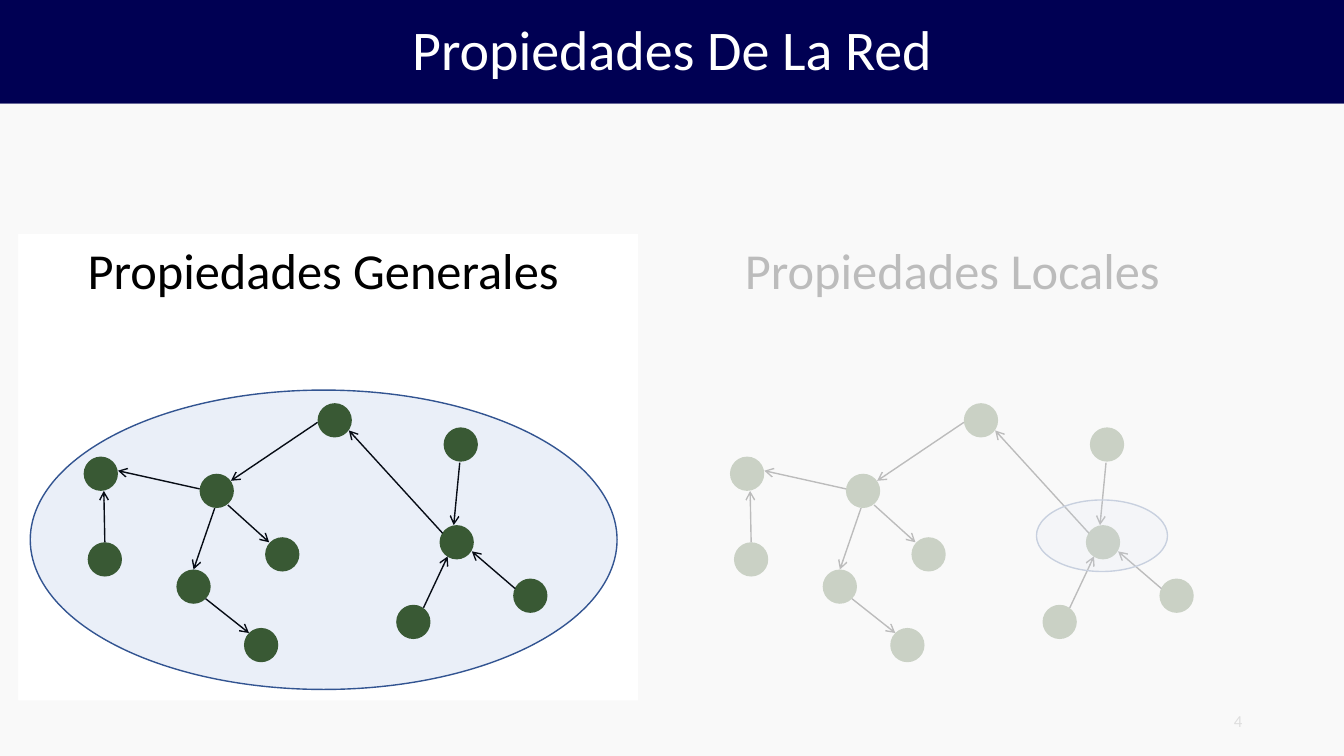
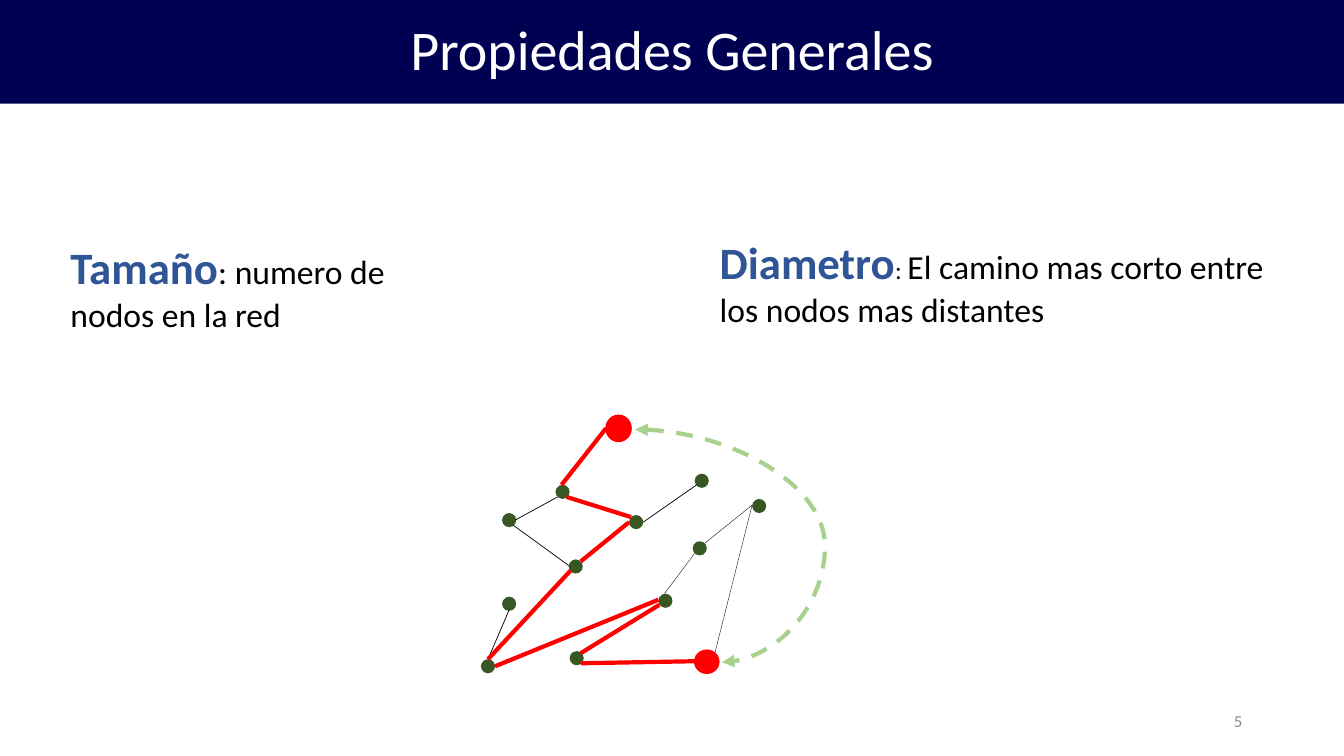
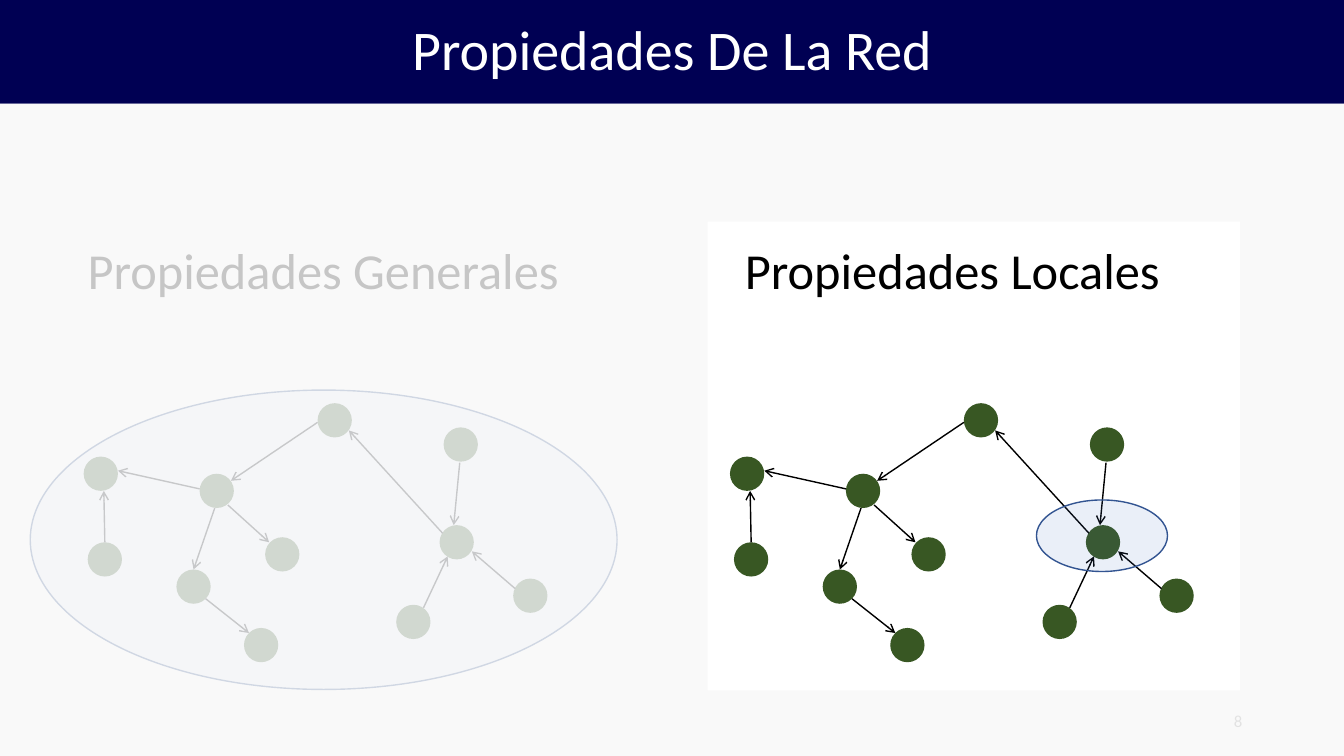
"""Builds three slides on the general and local properties of a network."""
from lxml import etree
from pptx import Presentation
from pptx.dml.color import RGBColor
from pptx.enum.dml import MSO_LINE
from pptx.enum.shapes import MSO_CONNECTOR as LINK, MSO_SHAPE as SHAPE
from pptx.enum.text import MSO_ANCHOR as ANCHOR, MSO_AUTO_SIZE as AUTO, PP_ALIGN as ALIGN
from pptx.oxml.ns import qn
from pptx.util import Pt

PX = 9144
WIDTH, HEIGHT, BAND = 1333, 750, 103
FONT = "Calibri"
NAVY = RGBColor(0x00, 0x00, 0x53)
WHITE = RGBColor(0xFF, 0xFF, 0xFF)
BLACK = RGBColor(0x00, 0x00, 0x00)
GRAY = RGBColor(0x8C, 0x8C, 0x8C)
VEIL = RGBColor(0xF8, 0xF8, 0xF8)
GREEN = RGBColor(0x38, 0x57, 0x23)
LIGHT_GREEN = RGBColor(0xA9, 0xD1, 0x8E)
RED = RGBColor(0xFF, 0x00, 0x00)
BLUE = RGBColor(0x44, 0x72, 0xC4)
EDGE_BLUE = RGBColor(0x32, 0x54, 0x91)
TERM_BLUE = RGBColor(0x2F, 0x55, 0x97)

NETWORK_TITLE = "Propiedades De La Red"
PANELS = [("Propiedades Generales", (77, 232, 492, 71), 0),
          ("Propiedades Locales", (729, 232, 436, 71), 641)]
NODE = 34
NODES = [(175, 565), (242, 623), (393, 600), (436, 521), (198, 470), (83, 453),
         (87, 538), (263, 533), (315, 400), (440, 424), (509, 574)]
ARROWS = [(198, 485, 117, 467), (104, 538, 103, 487), (213, 504, 192, 565),
          (226, 501, 267, 538), (315, 419, 229, 477), (204, 594, 247, 628),
          (439, 529, 346, 427), (420, 603, 444, 552), (456, 459, 450, 521),
          (511, 584, 468, 547)]
FOCUS_OVALS = [(30, 387, 582, 297), (1028, 496, 130, 71)]
GENERAL_WINDOW = (18, 232, 633, 695)
LOCAL_WINDOW = (702, 220, 1230, 685)

DEFINITIONS = [
    ((60, 233, 418, 104), [("Tamaño", 32, TERM_BLUE, True),
                           (": numero de nodos en la red", 24, BLACK, False)]),
    ((704, 228, 570, 104), [("Diametro", 32, TERM_BLUE, True),
                            (": ", 18, BLACK, False),
                            ("El camino mas corto entre los nodos mas distantes",
                             24, BLACK, False)]),
]
SMALL_NODE = 14
SMALL_NODES = [(498, 509), (564, 555), (498, 592), (551, 481), (653, 589), (565, 646),
               (624, 511), (687, 537), (477, 654), (746, 495), (689, 470)]
END_NODES = [(601, 412, 25, 26), (689, 645, 24, 23)]
PATH_LINKS = [(557, 481, 601, 425), (576, 557, 624, 518), (484, 654, 566, 566),
              (576, 648, 654, 600), (491, 661, 653, 595), (576, 658, 689, 656),
              (626, 513, 562, 493)]
OTHER_LINKS = [(564, 561, 509, 521), (638, 518, 691, 481), (484, 654, 505, 605),
               (511, 516, 553, 493)]
FAINT_LINKS = [(659, 589, 689, 549), (709, 648, 746, 501), (699, 539, 746, 501)]
DIAMETER_CURVE = (630, 426, 716, 657)
CURVE_BEND = 219000


def px(*lengths):
    return [round(length * PX) for length in lengths]


def set_alpha(shape, percent):
    color = shape.fill._xPr.find(qn("a:solidFill"))[0]
    etree.SubElement(color, qn("a:alpha")).set("val", str(percent * 1000))


def add_form(shapes, kind, at, color, edge=None, alpha=None):
    form = shapes.add_shape(kind, *px(*at))
    paint(form, color, alpha)
    if edge is not None:
        form.line.color.rgb = edge
        form.line.width = Pt(1)
    return form


def paint(form, color, alpha=None):
    form.shadow.inherit = False
    form.fill.solid()
    form.fill.fore_color.rgb = color
    form.line.fill.background()
    if alpha:
        set_alpha(form, alpha)


def add_link(shapes, ends, color=BLACK, width=1, kind=LINK.STRAIGHT, dash=None, **arrowheads):
    link = shapes.add_connector(kind, *px(*ends))
    link.line.color.rgb = color
    link.line.width = Pt(width)
    if dash:
        link.line.dash_style = dash
    outline = link.line._get_or_add_ln()
    for end in ("headEnd", "tailEnd"):
        if end in arrowheads:
            etree.SubElement(outline, qn("a:" + end)).set("type", arrowheads[end])
    etree.SubElement(link._element.spPr, qn("a:effectLst"))
    return link


def write(para, runs):
    for text, size, color, bold in runs:
        span = para.add_run()
        span.text = text
        span.font.name = FONT
        span.font.size = Pt(size)
        span.font.bold = bold
        span.font.color.rgb = color


def add_text(page, at, runs, wrap=True, grow=True):
    box = page.shapes.add_textbox(*px(*at))
    frame = box.text_frame
    frame.word_wrap = wrap
    frame.auto_size = AUTO.SHAPE_TO_FIT_TEXT if grow else AUTO.NONE
    write(frame.paragraphs[0], runs)
    return frame


def add_page(deck, title, number):
    page = deck.slides.add_slide(deck.slide_layouts[6])
    band = add_form(page.shapes, SHAPE.RECTANGLE, (0, 0, WIDTH, BAND), NAVY)
    band.text_frame.word_wrap = True
    band.text_frame.vertical_anchor = ANCHOR.MIDDLE
    para = band.text_frame.paragraphs[0]
    para.alignment = ALIGN.CENTER
    para.line_spacing = 0.9
    write(para, [(title, 40, WHITE, False)])
    footer = add_text(page, (942, 695, 300, 40), [(number, 12, GRAY, False)], grow=False)
    footer.vertical_anchor = ANCHOR.MIDDLE
    footer.paragraphs[0].alignment = ALIGN.RIGHT
    return page


def add_veil(page, window, alpha):
    left, top, right, bottom = window
    builder = page.shapes.build_freeform(left, top, scale=PX)
    builder.add_line_segments([(left, bottom), (right, bottom), (right, top)])
    builder.move_to(0, BAND)
    builder.add_line_segments([(WIDTH, BAND), (WIDTH, HEIGHT), (0, HEIGHT)])
    paint(builder.convert_to_shape(), VEIL, alpha)


def add_network_page(deck, number, window, alpha):
    page = add_page(deck, NETWORK_TITLE, number)
    for heading, at, shift in PANELS:
        add_text(page, at, [(heading, 36, BLACK, False)], wrap=False)
        for left, top in NODES:
            add_form(page.shapes, SHAPE.OVAL, (left + shift, top, NODE, NODE), GREEN)
        for x1, y1, x2, y2 in ARROWS:
            add_link(page.shapes, (x1 + shift, y1, x2 + shift, y2), tailEnd="arrow")
    for at in FOCUS_OVALS:
        add_form(page.shapes, SHAPE.OVAL, at, BLUE, EDGE_BLUE, 11)
    add_veil(page, window, alpha)


def add_general_page(deck, number):
    page = add_page(deck, "Propiedades Generales", number)
    for at, runs in DEFINITIONS:
        add_text(page, at, runs)
    graph = page.shapes.add_group_shape().shapes
    for at in END_NODES:
        add_form(graph, SHAPE.OVAL, at, RED, RED)
    for left, top in SMALL_NODES:
        add_form(graph, SHAPE.OVAL, (left, top, SMALL_NODE, SMALL_NODE), GREEN)
    for links, color, width in ((OTHER_LINKS, BLACK, 0.5), (FAINT_LINKS, BLACK, 0.25),
                                (PATH_LINKS, RED, 3)):
        for ends in links:
            add_link(graph, ends, color, width)
    curve = add_link(graph, DIAMETER_CURVE, LIGHT_GREEN, 3, LINK.CURVE, MSO_LINE.DASH,
                     headEnd="triangle", tailEnd="triangle")
    guides = curve._element.spPr.find(qn("a:prstGeom")).find(qn("a:avLst"))
    bend = etree.SubElement(guides, qn("a:gd"))
    bend.set("name", "adj1")
    bend.set("fmla", f"val {CURVE_BEND}")


def main():
    deck = Presentation()
    deck.slide_width, deck.slide_height = px(WIDTH, HEIGHT)
    add_network_page(deck, "4", GENERAL_WINDOW, 76)
    add_general_page(deck, "5")
    add_network_page(deck, "8", LOCAL_WINDOW, 80)
    deck.save("out.pptx")


if __name__ == "__main__":
    main()
